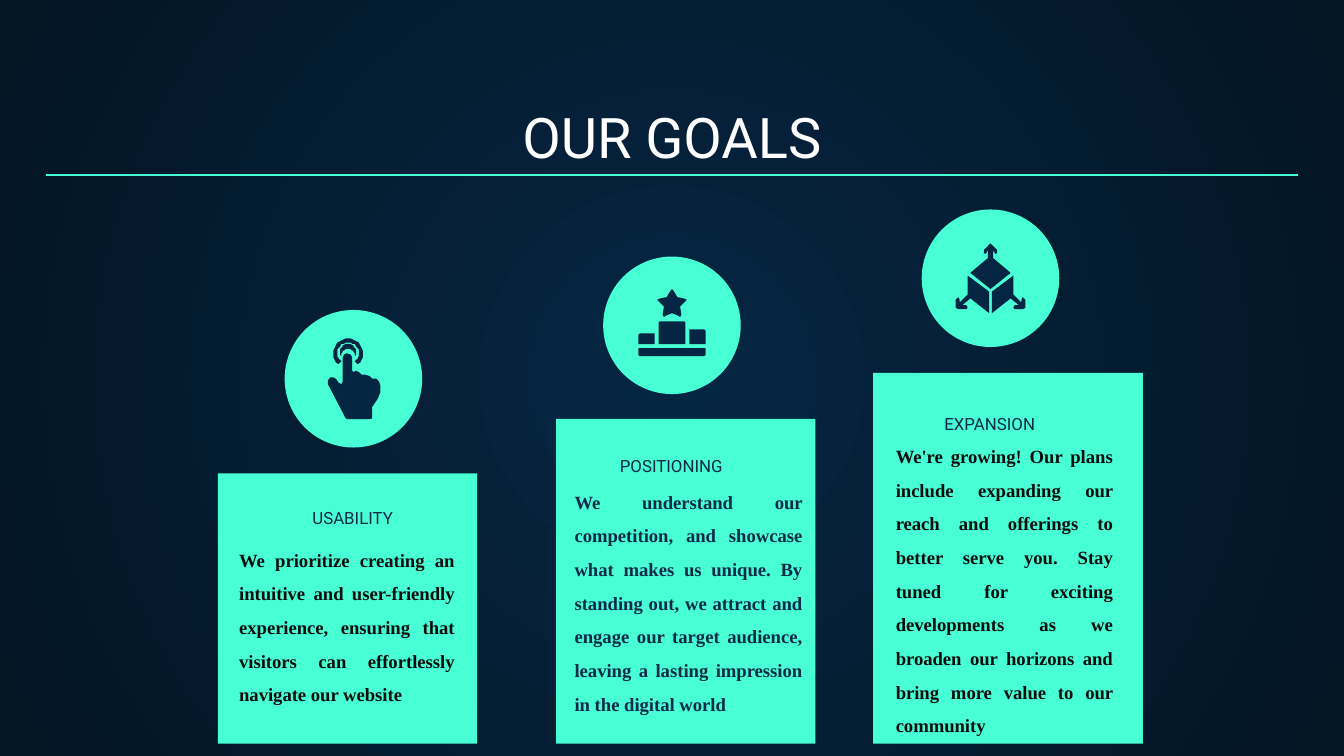
"""Build the "Our goals" slide: three rising cards with icons."""
import math
from dataclasses import dataclass

import lxml.etree
import pptx
import pptx.dml.color
import pptx.enum.shapes
import pptx.enum.text
import pptx.oxml.ns
import pptx.util

Cm = pptx.util.Cm
ALIGN = pptx.enum.text.PP_ALIGN
ANCHOR = pptx.enum.text.MSO_ANCHOR
SHAPE = pptx.enum.shapes.MSO_SHAPE


@dataclass(frozen=True)
class Theme:
    """Colours, fonts and type sizes."""
    glow: str = "052643"
    night: str = "041523"
    mint: str = "48FFD5"
    white: str = "FFFFFF"
    navy: str = "0E2A47"
    ink: str = "0D0D0D"
    heading_font: str = "Roboto"
    body_font: str = "Times New Roman"
    title_size: float = 30
    heading_size: float = 9
    body_size: float = 10
    rule_width: float = 0.75


@dataclass(frozen=True)
class Goal:
    """One card with its heading, body, badge and icon."""
    heading: str
    body: str
    body_colour: str
    card: tuple
    body_box: tuple
    heading_top: float
    badge_middle: float
    icon: list


def colour(value):
    """Return an RGB colour from its hex text."""
    return pptx.dml.color.RGBColor.from_string(value)


def flip(points):
    """Mirror points across the vertical axis."""
    return [(-x, y) for x, y in reversed(points)]


def arc(x, y, radius, start, end, steps=24):
    """Return points along an arc given in degrees."""
    angles = [math.radians(start + (end - start) * i / steps) for i in range(steps + 1)]
    return [(x + radius * math.cos(a), y + radius * math.sin(a)) for a in angles]


class SlideBuilder:
    """Draws themed elements on the current slide."""

    def __init__(self, slide, theme):
        """Keep the slide and its theme."""
        self.slide = slide
        self.theme = theme

    def background(self):
        """Fill the background with a radial gradient."""
        fill = self.slide.background.fill
        fill.gradient()
        for stop, shade in zip(fill.gradient_stops, (self.theme.glow, self.theme.night)):
            stop.color.rgb = colour(shade)
        qn = pptx.oxml.ns.qn
        linear = next(self.slide.background._cSld.iter(qn("a:lin")))
        gradient = linear.getparent()
        gradient.remove(linear)
        radial = lxml.etree.SubElement(gradient, qn("a:path"), {"path": "circle"})
        sides = dict.fromkeys("ltrb", "50000")
        lxml.etree.SubElement(radial, qn("a:fillToRect"), sides)

    def paint(self, shape, shade):
        """Give a shape a flat fill without outline or shadow."""
        shape.shadow.inherit = False
        shape.fill.solid()
        shape.fill.fore_color.rgb = colour(shade)
        shape.line.fill.background()

    def shape(self, kind, box):
        """Add a mint preset shape."""
        shape = self.slide.shapes.add_shape(kind, *map(Cm, box))
        self.paint(shape, self.theme.mint)

    def icon(self, outlines, centre):
        """Add icon outlines around a centre."""
        for outline in outlines:
            builder = self.slide.shapes.build_freeform(*outline[0], scale=Cm(0.0254))
            builder.add_line_segments(outline[1:], close=True)
            self.paint(builder.convert_to_shape(*map(Cm, centre)), self.theme.glow)

    def text(self, words, box, font, size, shade, align=ALIGN.CENTER,
             anchor=ANCHOR.BOTTOM, bold=False, spacing=1.0):
        """Add a one-paragraph text box."""
        frame = self.slide.shapes.add_textbox(*map(Cm, box)).text_frame
        frame.word_wrap = True
        frame.vertical_anchor = anchor
        frame.margin_left = frame.margin_right = Cm(0.25)
        frame.margin_top = frame.margin_bottom = Cm(0.25)
        para = frame.paragraphs[0]
        para.text = words
        para.alignment = align
        para.line_spacing = spacing
        para.font.name = font
        para.font.size = pptx.util.Pt(size)
        para.font.bold = bold
        para.font.color.rgb = colour(shade)

    def title(self, words, box):
        """Add the slide title."""
        self.text(words, box, self.theme.heading_font, self.theme.title_size, self.theme.white)

    def heading(self, words, box):
        """Add a card heading."""
        self.text(words, box, self.theme.heading_font, self.theme.heading_size, self.theme.navy)

    def body(self, words, box, shade):
        """Add justified card text."""
        self.text(words, box, self.theme.body_font, self.theme.body_size, shade,
                  ALIGN.JUSTIFY, ANCHOR.TOP, True, 1.5)

    def rule(self, left, right, top):
        """Add a horizontal line."""
        straight = pptx.enum.shapes.MSO_CONNECTOR.STRAIGHT
        line = self.slide.shapes.add_connector(straight, *map(Cm, (left, top, right, top)))
        line.line.color.rgb = colour(self.theme.mint)
        line.line.width = pptx.util.Pt(self.theme.rule_width)
        lxml.etree.SubElement(line._element.spPr, pptx.oxml.ns.qn("a:effectLst"))

    def goal(self, goal, centre):
        """Add a whole goal column."""
        radius = 1.3
        self.shape(SHAPE.RECTANGLE, goal.card)
        self.body(goal.body, goal.body_box, goal.body_colour)
        self.heading(goal.heading, (centre - 2.9, goal.heading_top, 5.77, 1.24))
        badge = (centre - radius, goal.badge_middle - radius, 2 * radius, 2 * radius)
        self.shape(SHAPE.OVAL, badge)
        self.icon(goal.icon, (centre, goal.badge_middle))


HAND = [
    arc(-4, -19, 11, 130, 410) + arc(-4, -19, 8, 410, 130),
    arc(-4, -20, 6, 160, 380) + arc(-4, -17, 5, 360, 180),
    [(-5, -19), (-7, -18), (-8, -16), (-8, 2), (-9, 4), (-11, 3), (-13, 0), (-15, -1),
     (-17, -1), (-19, 1), (-19, 4), (-6, 29), (-5, 30), (13, 30), (14, 29), (14, 21),
     (18, 15), (20, 10), (20, 5), (19, 2), (17, 0), (14, 0), (12, -2), (9, -3), (6, -3),
     (4, -5), (2, -6), (0, -5), (-1, -6), (-1, -16), (-2, -18)],
]
HALF_STAR = [(0, -27), (1, -26), (4, -21), (9, -20), (11, -19), (10, -18), (6, -14),
             (7, -8), (6, -6), (5, -7), (0, -9)]
PODIUM = [
    HALF_STAR + flip(HALF_STAR),
    [(13, 3), (24, 3), (25, 4), (25, 14), (13, 14)],
    [(-9, -3), (9, -3), (10, -2), (10, 14), (-10, 14), (-10, -2)],
    [(-25, 17), (25, 17), (25, 22), (24, 23), (-24, 23), (-25, 22)],
    [(-24, 6), (-13, 6), (-13, 14), (-25, 14), (-25, 7)],
]
CUBE_SIDE = [(17, -2), (1, 10), (1, 26), (15, 15), (21, 20), (18, 20), (17, 22), (18, 23),
             (24, 23), (26, 22), (26, 16), (24, 14), (23, 16), (23, 18), (17, 12)]
HALF_CUBE_TOP = [(0, -26), (1, -25), (5, -21), (5, -19), (4, -18), (3, -19), (1.5, -21),
                 (1.5, -15), (15, -4), (0, 8)]
CUBE = [CUBE_SIDE, flip(CUBE_SIDE), HALF_CUBE_TOP + flip(HALF_CUBE_TOP)]


def main():
    """Build and save the deck."""
    theme = Theme()
    deck = pptx.Presentation()
    deck.slide_width, deck.slide_height = Cm(25.4), Cm(14.29)
    page = SlideBuilder(deck.slides.add_slide(deck.slide_layouts[6]), theme)
    goals = [
        Goal("USABILITY", "We prioritize creating an intuitive and user-friendly experience, "
             "ensuring that visitors can effortlessly navigate our website", theme.ink,
             (4.12, 8.95, 4.9, 5.11), (4.27, 9.91, 4.57, 4.88), 8.94, 7.16, HAND),
        Goal("POSITIONING", "We understand our competition, and showcase what makes us unique. "
             "By standing out, we attract and engage our target audience, leaving a lasting "
             "impression in the digital world", theme.navy,
             (10.51, 7.92, 4.9, 6.14), (10.61, 8.81, 4.8, 7), 7.95, 6.15, PODIUM),
        Goal("EXPANSION", "We're growing! Our plans include expanding our reach and offerings "
             "to better serve you. Stay tuned for exciting developments as we broaden our "
             "horizons and bring more value to our community", theme.ink,
             (16.5, 7.05, 5.1, 7.01), (16.68, 7.95, 4.6, 6.35), 7.16, 5.26, CUBE),
    ]
    page.background()
    page.title("OUR GOALS", (0.87, 1.78, 23.66, 1.68))
    for column, goal in enumerate(goals):
        page.goal(goal, 6.68 + 6.02 * column)
    page.rule(0.87, 24.53, 3.31)
    deck.save("out.pptx")


if __name__ == "__main__":
    main()
